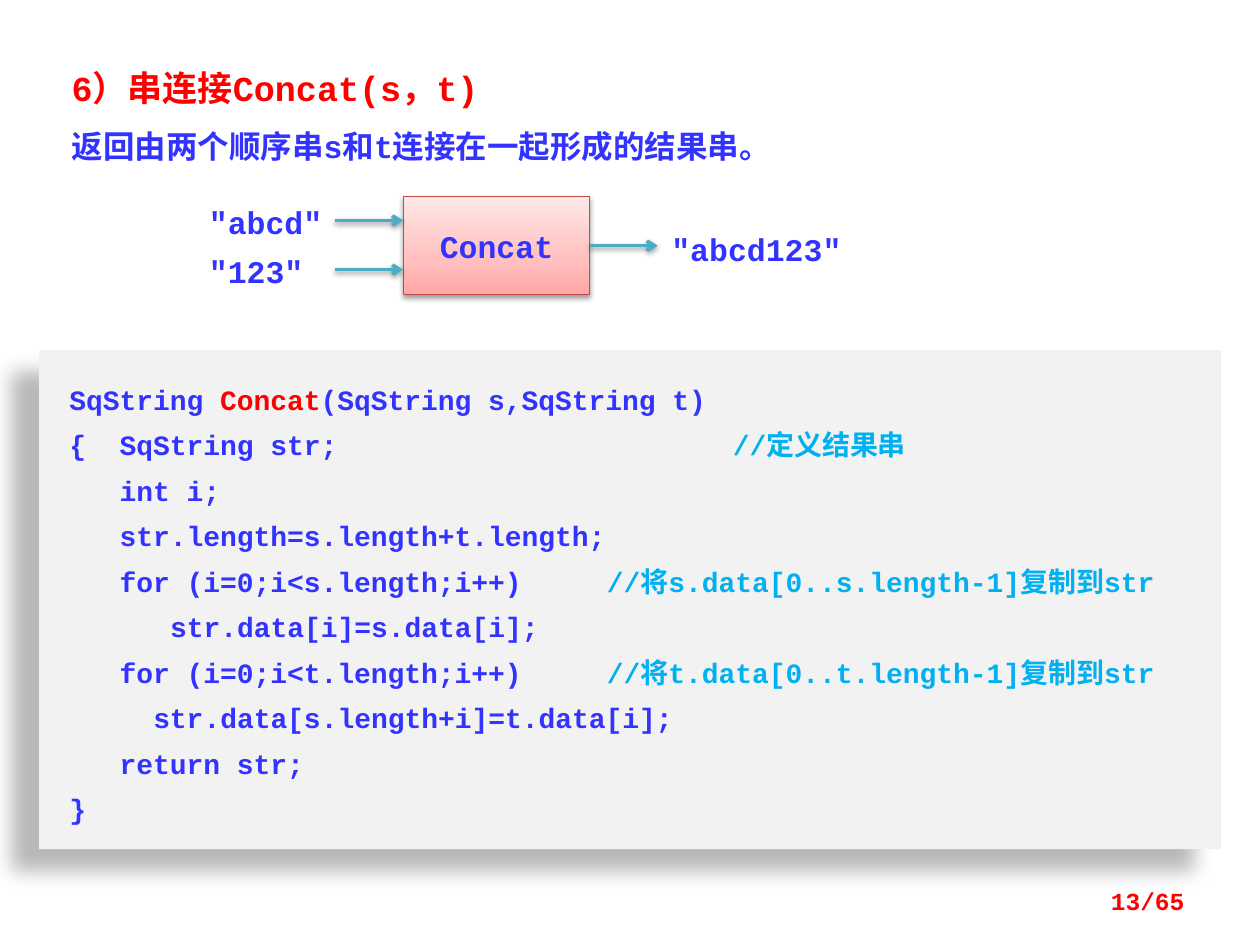
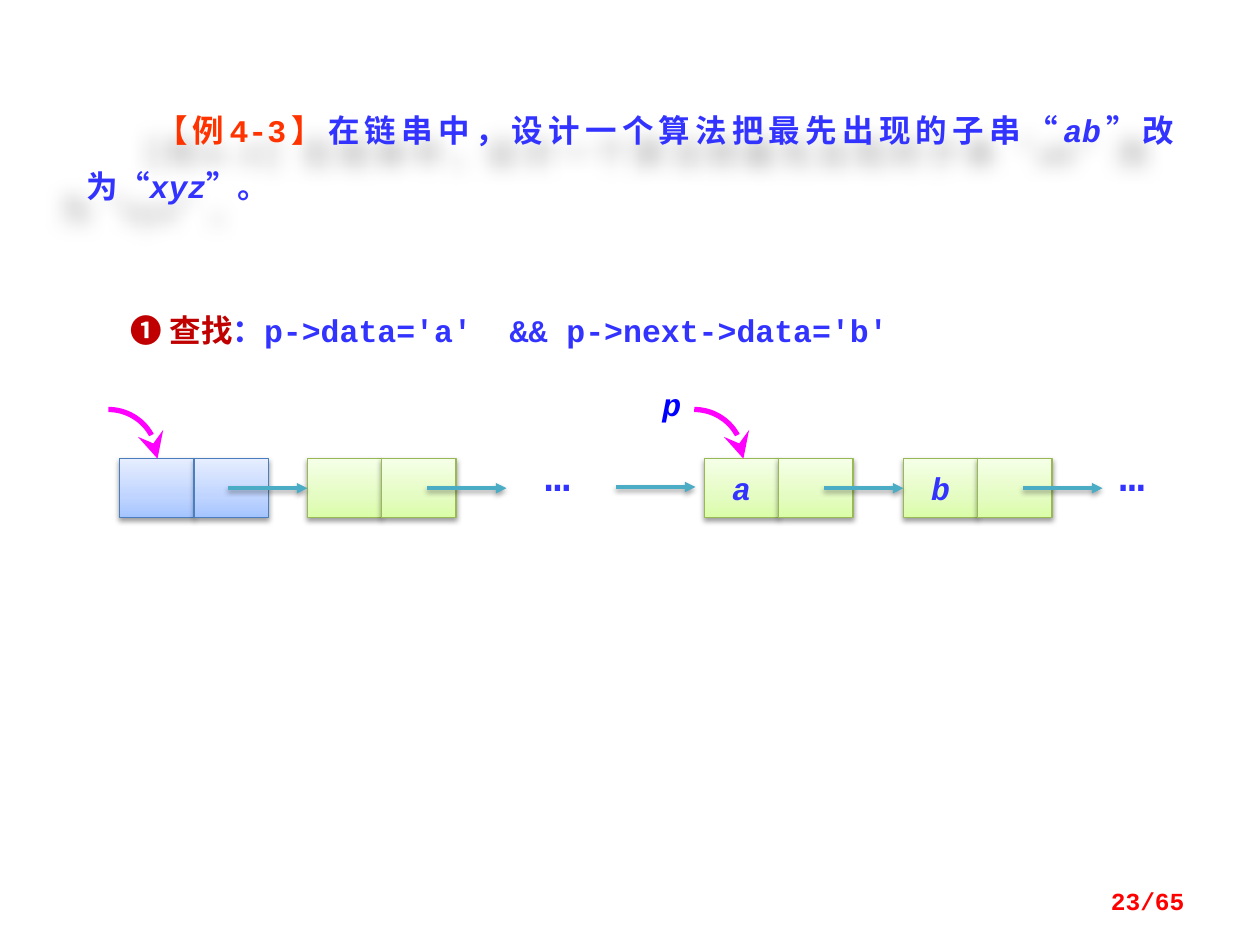
from dataclasses import dataclass
from math import cos, pi, sin

from lxml.etree import SubElement
from pptx import Presentation
from pptx.dml.color import RGBColor
from pptx.enum.shapes import MSO_CONNECTOR, MSO_SHAPE
from pptx.enum.text import MSO_ANCHOR, PP_ALIGN
from pptx.oxml.ns import qn
from pptx.util import Emu, Inches, Pt


@dataclass(frozen=True)
class Theme:
    """Colours, type sizes and effects shared by the slides."""
    font: str = "Courier New"
    blue: str = "3333FF"
    red: str = "FF0000"
    example: str = "FF3300"
    step: str = "C00000"
    comment: str = "00B0F0"
    pointer_name: str = "0000FF"
    panel: str = "F2F2F2"
    arrow: str = "4BACC6"
    pointer: str = "FF00FF"
    title_size: float = 20
    body_size: float = 18
    code_size: float = 16
    page_size: float = 14
    ellipsis_size: float = 24
    code_pitch: float = 26
    code_character: float = 9.6
    red_box: tuple = ("FFA6A5", "FFC0BF", "FFE7E7", "BF4C48")
    blue_box: tuple = ("A4C4FF", "BFD4FF", "E6EEFF", "4B7EBC")
    green_box: tuple = ("DAFDA7", "E4FCC2", "F5FFE7", "98B955")
    soft_shadow: tuple = (28, 11.8, 19.7, 141)
    small_shadow: tuple = (38, 3.1, 1.6, 90)


THEME = Theme()
WIDTH, HEIGHT = Inches(10), Inches(7.5)
COLUMNS, ROWS = 100, 75


@dataclass(frozen=True)
class Box:
    """A rectangle in columns and rows of the slide grid."""
    column: float
    row: float
    width: float = 0
    height: float = 0

    def inner(self, column, row, width=0, height=0):
        """Return a box placed relative to this one."""
        return Box(self.column + column, self.row + row, width, height)

    def emu(self):
        """Return left, top, width and height as slide lengths."""
        across, down = WIDTH / COLUMNS, HEIGHT / ROWS
        return [Emu(round(value)) for value in (
            self.column * across, self.row * down,
            self.width * across, self.height * down)]


def rgb(value):
    """Turn a hex string into a colour."""
    return RGBColor.from_string(value)


def element(parent, tag, **attributes):
    """Append a DrawingML element."""
    return SubElement(parent, qn(f"a:{tag}"),
                      {name: str(value) for name, value in attributes.items()})


def set_shadow(shape, shadow=None):
    """Give a shape the named shadow, or an empty effect list."""
    effects = element(shape._element.spPr, "effectLst")
    if shadow:
        alpha, blur, distance, angle = shadow
        outer = element(effects, "outerShdw", blurRad=Pt(blur), dist=Pt(distance),
                        dir=angle * 60000, algn="ctr", rotWithShape=0)
        element(element(outer, "srgbClr", val="000000"), "alpha", val=alpha * 1000)


def write(shape, *runs, size=THEME.body_size, color=THEME.blue, bold=True, italic=False,
          align=PP_ALIGN.LEFT, spacing=None, tabs=(), indent=0, more=False):
    """Write one paragraph of runs, each a text or a text with its own format."""
    frame = shape.text_frame
    paragraph = frame.add_paragraph() if more else frame.paragraphs[0]
    paragraph.alignment = align
    if spacing:
        paragraph.line_spacing = spacing
    properties = paragraph._p.get_or_add_pPr()
    if indent:
        properties.set("indent", str(Inches(indent)))
    if tabs:
        stops = element(properties, "tabLst")
        for tab in tabs:
            element(stops, "tab", pos=Pt(tab * THEME.code_character), algn="l")
    for item in runs:
        text, own = (item, {}) if isinstance(item, str) else item
        run = paragraph.add_run()
        run.text = text
        font = run.font
        font.name, font.size = THEME.font, Pt(size)
        font.bold, font.italic = bold, own.get("italic", italic)
        font.color.rgb = rgb(own.get("color", color))


def text_box(slide, box, *runs, anchor=MSO_ANCHOR.TOP, **style):
    """Add a wrapping text box with its first paragraph."""
    shape = slide.shapes.add_textbox(*box.emu())
    shape.text_frame.word_wrap = True
    shape.text_frame.vertical_anchor = anchor
    write(shape, *runs, **style)
    return shape


def gradient_box(slide, box, colors, label="", italic=False):
    """Add a shaded rectangle with a centred label."""
    *stops, outline = colors
    shape = slide.shapes.add_shape(MSO_SHAPE.RECTANGLE, *box.emu())
    shape.fill.gradient()
    shape.fill.gradient_angle = 90
    stop_list = shape._element.spPr.find(qn("a:gradFill")).find(qn("a:gsLst"))
    stop_list.clear()
    for position, color in zip((0, 35, 100), stops):
        element(element(stop_list, "gs", pos=position * 1000), "srgbClr", val=color)
    shape.line.color.rgb = rgb(outline)
    shape.line.width = Pt(0.75)
    set_shadow(shape, THEME.small_shadow)
    if label:
        shape.text_frame.vertical_anchor = MSO_ANCHOR.MIDDLE
        write(shape, label, italic=italic, align=PP_ALIGN.CENTER)
    return shape


def draw_line(shape, color, width, head, size="med"):
    """Set the line and arrowhead of a connector or curve."""
    shape.line.color.rgb = rgb(color)
    shape.line.width = Pt(width)
    element(shape._element.spPr.find(qn("a:ln")), "tailEnd", type=head, w=size, len=size)


def arrow(slide, start, length, head, begin=None, end=None):
    """Add a level arrow, joined to a right side or a left side if given."""
    left, top, *_ = start.emu()
    right = start.inner(length, 0).emu()[0]
    connector = slide.shapes.add_connector(MSO_CONNECTOR.STRAIGHT, left, top, right, top)
    if begin is not None:
        connector.begin_connect(begin, 3)
    if end is not None:
        connector.end_connect(end, 1)
    draw_line(connector, THEME.arrow, 2, head)
    set_shadow(connector, THEME.small_shadow)


def curved_pointer(slide, box, steps=24):
    """Add a quarter-circle pointer from top left to bottom right."""
    left, top, width, height = box.emu()
    angles = [pi / 2 * step / steps for step in range(1, steps + 1)]
    builder = slide.shapes.build_freeform(left, top)
    builder.add_line_segments(
        [(left + round(width * sin(angle)), top + round(height * (1 - cos(angle))))
         for angle in angles], close=False)
    curve = builder.convert_to_shape()
    curve.fill.background()
    draw_line(curve, THEME.pointer, 3, "stealth", "lg")
    set_shadow(curve)


def page_number(slide, box, number):
    """Add the page number out of the total."""
    text_box(slide, box, f"{number}/65", size=THEME.page_size, color=THEME.red,
             align=PP_ALIGN.RIGHT, anchor=MSO_ANCHOR.MIDDLE)


def heading(slide, box):
    """Add the operation's name and purpose."""
    shape = text_box(slide, box, "6）串连接Concat(s，t)", size=THEME.title_size,
                     color=THEME.red, spacing=1.5)
    write(shape, "返回由两个顺序串s和t连接在一起形成的结果串。", spacing=1.5, more=True)


def concat_diagram(slide, box):
    """Show two strings entering Concat and one leaving."""
    concat = gradient_box(slide, box.inner(16.4, 0, 14.8, 7.8), THEME.red_box, "Concat")
    for index, text in enumerate(('"abcd"', '"123"')):
        row = 3.9 * index
        text_box(slide, box.inner(0, row, 11.7, 4), text)
        arrow(slide, box.inner(11, row + 1.9), 5.4, "arrow")
    arrow(slide, box.inner(31.2, 3.9), 5.4, "arrow", begin=concat)
    text_box(slide, box.inner(36.7, 2.2, 18, 4), '"abcd123"')


def code_panel(slide, box):
    """Show the function's source, with indents and comments on tab stops."""
    panel = slide.shapes.add_shape(MSO_SHAPE.RECTANGLE, *box.emu())
    panel.fill.solid()
    panel.fill.fore_color.rgb = rgb(THEME.panel)
    panel.line.fill.background()
    set_shadow(panel, THEME.soft_shadow)
    frame = panel.text_frame
    frame.word_wrap = True
    frame.vertical_anchor = MSO_ANCHOR.TOP
    frame.margin_left = Inches(0.24)
    frame.margin_top = frame.margin_bottom = Inches(0.16)

    def comment(text):
        return text, {"color": THEME.comment}

    lines = [
        ((), "SqString ", ("Concat", {"color": THEME.red}), "(SqString s,SqString t)"),
        ((3, 39.5), "{\tSqString str;\t", comment("//定义结果串")),
        ((3,), "\tint i;"),
        ((3,), "\tstr.length=s.length+t.length;"),
        ((3, 32), "\tfor (i=0;i<s.length;i++)\t",
         comment("//将s.data[0..s.length-1]复制到str")),
        ((6,), "\tstr.data[i]=s.data[i];"),
        ((3, 32), "\tfor (i=0;i<t.length;i++)\t",
         comment("//将t.data[0..t.length-1]复制到str")),
        ((5,), "\tstr.data[s.length+i]=t.data[i];"),
        ((3,), "\treturn str;"),
        ((), "}"),
    ]
    for index, (tabs, *runs) in enumerate(lines):
        write(panel, *runs, size=THEME.code_size, tabs=tabs,
              spacing=Pt(THEME.code_pitch), more=index > 0)


def example_statement(slide, box):
    """Add the example's task with a soft text shadow."""
    slanted = {"italic": True}
    shape = text_box(
        slide, box, ("【例4-3】", {"color": THEME.example}),
        "在链串中，设计一个算法把最先出现的子串“", ("ab", slanted), "”改为“",
        ("xyz", slanted), "”。", align=PP_ALIGN.JUSTIFY, spacing=1.5, indent=0.55)
    set_shadow(shape, THEME.soft_shadow)


def search_step(slide, box):
    """Add the search condition."""
    text_box(slide, box, ("❶ 查找", {"color": THEME.step}),
             "：p->data='a'  && p->next->data='b'")


def linked_chain(slide, box):
    """Draw the linked string with its pointers."""
    cell_width, cell_height, top, link = 5.9, 4.7, 6.3, 6.3
    nodes = ((0.9, THEME.blue_box, ""), (15.8, THEME.green_box, ""),
             (47.3, THEME.green_box, "a"), (63.1, THEME.green_box, "b"))
    data_cells = {}
    for left, colors, label in nodes:
        data_cells[left] = gradient_box(
            slide, box.inner(left, top, cell_width, cell_height), colors, label, True)
        gradient_box(slide, box.inner(left + cell_width, top, cell_width, cell_height), colors)
    middle = top + cell_height / 2
    for end, row in ((15.8, middle), (31.6, middle), (46.6, middle - 0.1),
                     (63.1, middle), (78.9, middle)):
        arrow(slide, box.inner(end - link, row), link, "triangle", end=data_cells.get(end))
    for left in (32.5, 78.1):
        text_box(slide, box.inner(left, 5.1, 6.3, 5), "…", size=THEME.ellipsis_size,
                 align=PP_ALIGN.CENTER)
    for left in (0, 46.5):
        curved_pointer(slide, box.inner(left, 2.4, 3.9, 3.9))
    text_box(slide, box.inner(43, 0, 4.7, 4), "p", color=THEME.pointer_name, italic=True)


def concat_slide(slide, box):
    """Build the string concatenation slide."""
    heading(slide, box.inner(4.7, 3.1, 89.1, 10.5))
    code_panel(slide, box.inner(3.1, 27.8, 93.8, 39.6))
    concat_diagram(slide, box.inner(15.6, 15.6, 54.7, 7.8))


def example_slide(slide, box):
    """Build the linked string example slide."""
    example_statement(slide, box.inner(5.9, 6.8, 88.3, 9.6))
    linked_chain(slide, box.inner(8.6, 30.1, 84.4, 11))
    search_step(slide, box.inner(9.4, 24.2, 68.8, 4))


def main():
    """Build and save the presentation."""
    presentation = Presentation()
    presentation.slide_width, presentation.slide_height = WIDTH, HEIGHT
    page = Box(0, 0, COLUMNS, ROWS)
    for build, number in ((concat_slide, 13), (example_slide, 23)):
        slide = presentation.slides.add_slide(presentation.slide_layouts[6])
        build(slide, page)
        page_number(slide, page.inner(71.7, 69.5, 23.3, 4), number)
    presentation.save("out.pptx")


if __name__ == "__main__":
    main()
